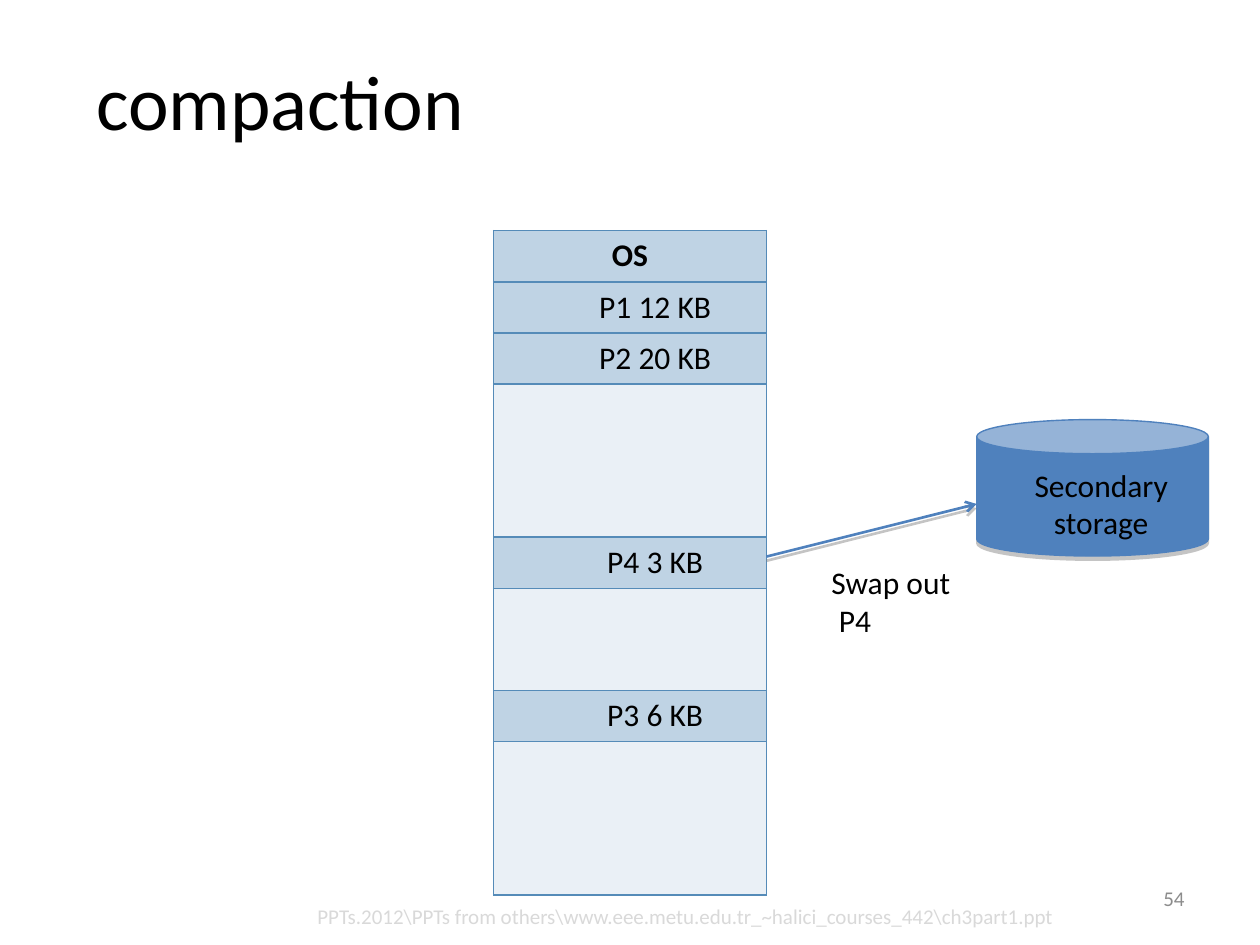
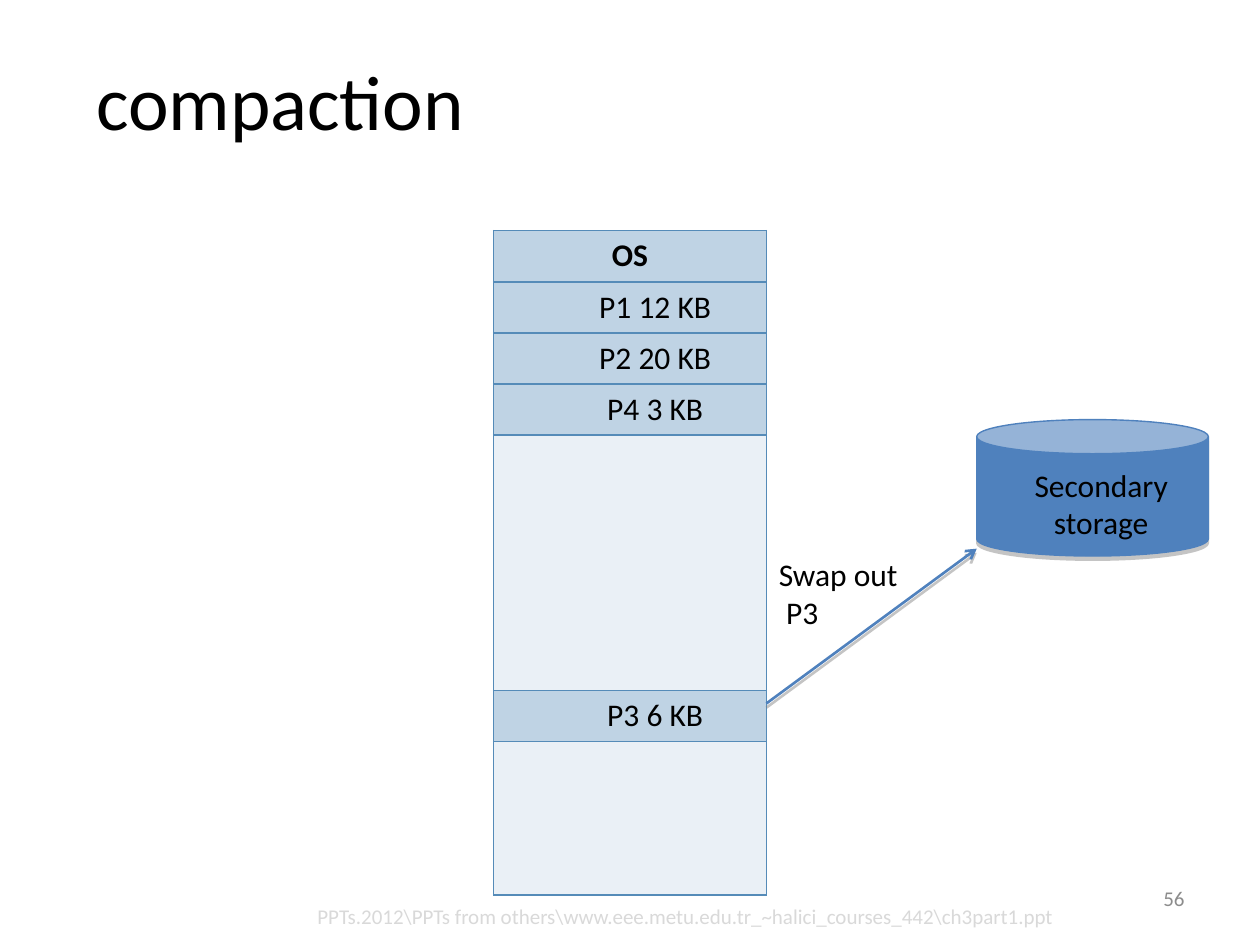
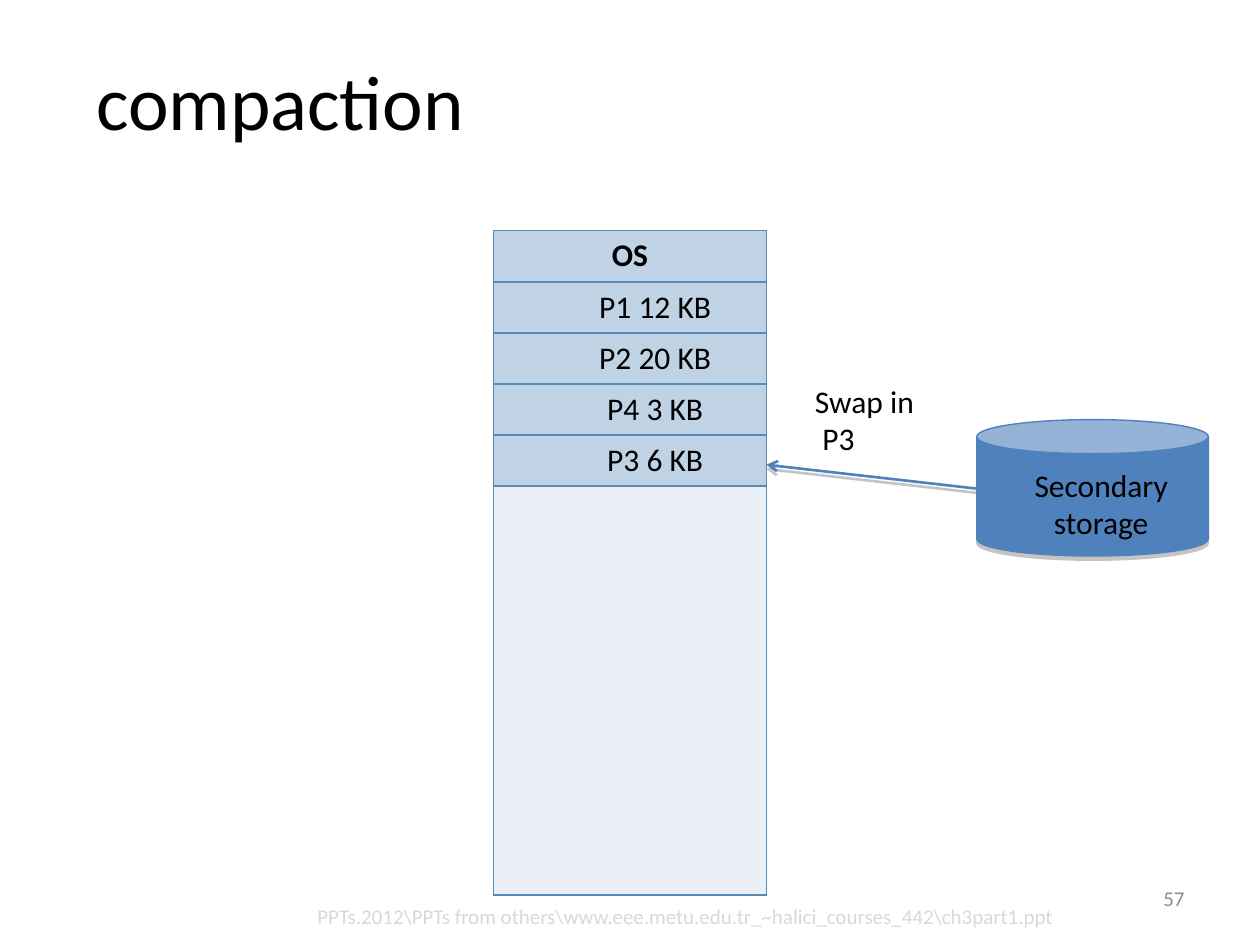
"""Build three slides that show memory compaction by swapping."""
from lxml import etree
from pptx import Presentation
from pptx import util as u
from pptx.dml import color
from pptx.enum import shapes, text
from pptx.oxml import ns

COLOURS = {
    "black": "000000", "number": "8C8C8C", "source": "D9D9D9",
    "used": "BFD3E4", "free": "EAF0F6", "border": "558BB8",
    "accent": "4F81BD", "shadow": "808080",
}
FONT = "Calibri"
SOURCE = r"PPTs.2012\PPTs from others\www.eee.metu.edu.tr_~halici_courses_442\ch3part1.ppt"
ROW_COUNT = 13
ROW_HEIGHT = 1.03
MEMORY_LEFT, MEMORY_TOP, MEMORY_WIDTH = 9.95, 4.65, 5.5
MEMORY_RIGHT = MEMORY_LEFT + MEMORY_WIDTH
STORAGE_LEFT = 19.69
CELL_INDENT = 1.27
LABEL_INDENT = 0.15


def rgb(name):
    return color.RGBColor.from_string(COLOURS[name])


def add_element(parent, tag, **attributes):
    element = etree.SubElement(parent, ns.qn(tag))
    for key, value in attributes.items():
        element.set(key, str(value))
    return element


def set_values(target, values):
    for name, value in values.items():
        setattr(target, name, value)


class Deck:
    def __init__(self):
        self.presentation = Presentation()
        self.presentation.slide_width = u.Cm(25.4)
        self.presentation.slide_height = u.Cm(19.05)
        self.slide = None

    def add_slide(self, number):
        self.slide = self.presentation.slides.add_slide(self.presentation.slide_layouts[6])
        middle = text.MSO_ANCHOR.MIDDLE
        self.add_text(["compaction"], 1.69, 0.64, 22.66, 2.75, size=44, anchor=middle)
        self.add_text([str(number)], 18.2, 17.65, 5.93, 1.02, size=12, colour="number",
                      anchor=middle, alignment=text.PP_ALIGN.RIGHT, line_spacing=0.8)
        self.add_text([SOURCE], 6.15, 18.08, 15.46, 0.77, size=12, colour="source")

    def fill_paragraph(self, paragraph, words, size=18, colour="black", bold=False, **layout):
        paragraph.text = words
        set_values(paragraph, layout)
        set_values(paragraph.font, {"name": FONT, "size": u.Pt(size), "bold": bold})
        paragraph.font.color.rgb = rgb(colour)

    def add_text(self, lines, left, top, width, height,
                 anchor=text.MSO_ANCHOR.TOP, last_indent=0, **style):
        box = self.slide.shapes.add_textbox(*map(u.Cm, (left, top, width, height)))
        frame = box.text_frame
        set_values(frame, {"word_wrap": True, "vertical_anchor": anchor})
        for index, words in enumerate(lines):
            paragraph = frame.add_paragraph() if index else frame.paragraphs[0]
            self.fill_paragraph(paragraph, words, **style)
        if last_indent:
            paragraph._p.get_or_add_pPr().set("marL", str(u.Cm(last_indent)))

    def add_memory(self, blocks):
        table = self.slide.shapes.add_table(
            ROW_COUNT, 1, u.Cm(MEMORY_LEFT), u.Cm(MEMORY_TOP),
            u.Cm(MEMORY_WIDTH), u.Cm(ROW_HEIGHT * ROW_COUNT)).table
        set_values(table, {"first_row": False, "horz_banding": False})
        for index in range(ROW_COUNT):
            table.rows[index].height = u.Cm(ROW_HEIGHT)
            cell = table.cell(index, 0)
            used = index in blocks
            self.add_borders(cell, top=used or index - 1 in blocks,
                             bottom=used or index + 1 in blocks or index == ROW_COUNT - 1)
            cell.fill.solid()
            cell.fill.fore_color.rgb = rgb("used" if used else "free")
            if used:
                if index:
                    cell.margin_left = u.Cm(CELL_INDENT)
                self.fill_paragraph(cell.text_frame.paragraphs[0], blocks[index],
                                    bold=index == 0, alignment=text.PP_ALIGN.CENTER)

    def add_borders(self, cell, top, bottom):
        properties = cell._tc.get_or_add_tcPr()
        for side, shown in {"L": True, "R": True, "T": top, "B": bottom}.items():
            line = add_element(properties, f"a:ln{side}", w=u.Pt(1))
            if shown:
                fill = add_element(line, "a:solidFill")
                add_element(fill, "a:srgbClr", val=COLOURS["border"])
            else:
                add_element(line, "a:noFill")

    def add_shadow(self, shape):
        effects = add_element(shape._element.spPr, "a:effectLst")
        shadow = add_element(effects, "a:outerShdw", blurRad=0, dist=u.Pt(2.4),
                             dir=5400000, algn="ctr", rotWithShape=0)
        tint = add_element(shadow, "a:srgbClr", val=COLOURS["shadow"])
        add_element(tint, "a:alpha", val=45000)

    def add_storage(self):
        can = self.slide.shapes.add_shape(
            shapes.MSO_SHAPE.CAN, *map(u.Cm, (STORAGE_LEFT, 8.46, 4.67, 2.75)))
        can.adjustments[0] = 0.25
        can.fill.solid()
        can.fill.fore_color.rgb = rgb("accent")
        can.line.color.rgb = rgb("accent")
        can.line.width = u.Pt(0.79)
        self.add_shadow(can)
        self.add_text(["Secondary", "storage"], 20.4, 9.26, 3.6, 1.8,
                      alignment=text.PP_ALIGN.CENTER)

    def add_arrow(self, start, end):
        arrow = self.slide.shapes.add_connector(
            shapes.MSO_CONNECTOR.STRAIGHT, *map(u.Cm, start + end))
        arrow.line.color.rgb = rgb("accent")
        arrow.line.width = u.Pt(1.5)
        add_element(arrow._element.spPr.find(ns.qn("a:ln")), "a:tailEnd", type="arrow")
        self.add_shadow(arrow)

    def add_swap(self, lines, left, top, start, end):
        self.add_text(lines, left, top, 4.24, 1.8, last_indent=LABEL_INDENT)
        self.add_arrow(start, end)


def main():
    deck = Deck()
    resident = {0: "OS", 1: "P1 12 KB", 2: "P2 20 KB"}
    moved = {**resident, 3: "P4 3 KB"}
    steps = [
        (54, {**resident, 6: "P4 3 KB", 9: "P3 6 KB"},
         (["Swap out", "P4"], 16.51, 11.22, (MEMORY_RIGHT, 11.22), (STORAGE_LEFT, 10.16))),
        (56, {**moved, 9: "P3 6 KB"},
         (["Swap out", "P3"], 15.45, 11.06, (MEMORY_RIGHT, 14.18), (STORAGE_LEFT, 11.06))),
        (57, {**moved, 4: "P3 6 KB"},
         (["Swap in", "P3"], 16.18, 7.57, (STORAGE_LEFT, 9.85), (MEMORY_RIGHT, 9.37))),
    ]
    for number, blocks, swap in steps:
        deck.add_slide(number)
        deck.add_memory(blocks)
        deck.add_storage()
        deck.add_swap(*swap)
    deck.presentation.save("out.pptx")


if __name__ == "__main__":
    main()
